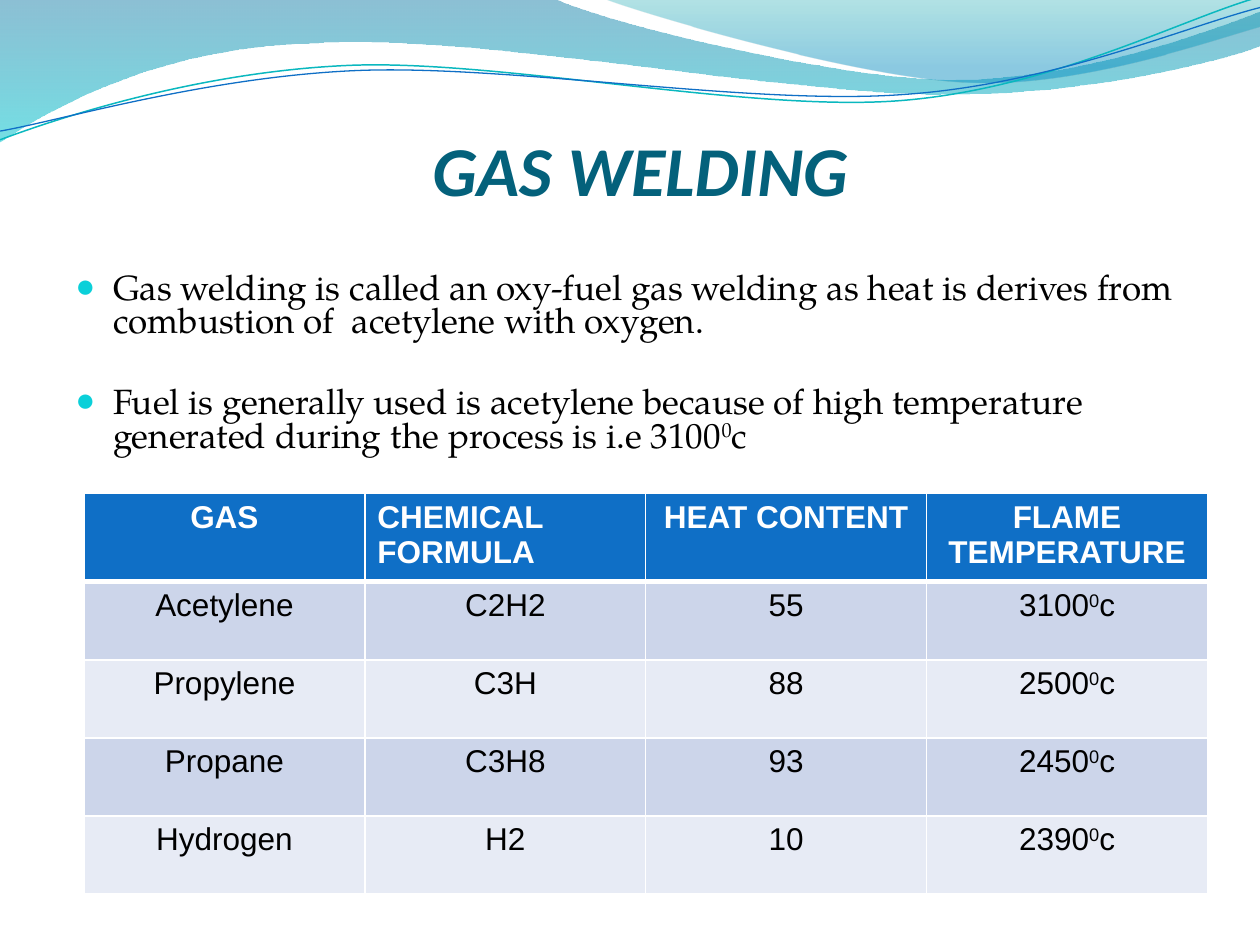
from lxml import etree
from pptx import Presentation
from pptx.dml.color import RGBColor
from pptx.enum.text import MSO_ANCHOR, PP_ALIGN
from pptx.oxml.ns import qn
from pptx.util import Pt

LEFT, CENTER = PP_ALIGN.LEFT, PP_ALIGN.CENTER
TOP, BOTTOM = MSO_ANCHOR.TOP, MSO_ANCHOR.BOTTOM

TITLE = "GAS WELDING"
BULLETS = [
    "Gas welding is called an oxy-fuel gas welding as heat is derives from combustion of  acetylene with oxygen.",
    "Fuel is generally used is acetylene because of high temperature generated during the process is i.e 3100^0^c",
]
ROWS = [
    ["GAS", "CHEMICAL FORMULA", "HEAT CONTENT", "FLAME TEMPERATURE"],
    ["Acetylene", "C2H2", "55", "3100^0^c"],
    ["Propylene", "C3H", "88", "2500^0^c"],
    ["Propane", "C3H8", "93", "2450^0^c"],
    ["Hydrogen", "H2", "10", "2390^0^c"],
]
TITLE_FONT = {"name": "Calibri", "size": Pt(40), "bold": True, "italic": True}
BODY_FONT = {"name": "TeX Gyre Pagella", "size": Pt(20)}
HEAD_FONT = {"name": "Arial", "size": Pt(18), "bold": True}
CELL_FONT = {"name": "Arial", "size": Pt(18), "bold": False}
HEAD_FILL, BAND_FILLS = "0F6FC6", ["CCD5EA", "E7EBF5"]
TABLE_LEFT, TABLE_TOP, TABLE_HEIGHT = 48, 282, 228.2
COLUMN_WIDTH, ROW_HEIGHT = 160.5, 44.6

WAVES = [
    {"stops": [(0, "0074A1", 45), (1, "00C6CF", 55)],
     "points": [(0, 0), (316.8, -0.7), (342.7, 12.2, 478.1, 45.4, 545.8, 45.4),
                (614.2, 45.4, 689.8, 18.7, 720, 6.5), (720.7, 25.9),
                (707.8, 31.7, 626.4, 54.7, 537.1, 54),
                (447.8, 54, 275, 20.2, 185, 24.5),
                (92.9, 25.9, 33.1, 59.8, -0.7, 81.4)]},
    {"stops": [(0, "00A1A9", 30), (0.8, "008BBF", 45)],
     "points": [(344.9, -0.7), (366.5, 7.9, 491, 44.6, 553.7, 46.8),
                (616.3, 49.7, 691.9, 23, 720, 15.1), (720, 0)]},
    {"line": ("0AB8BF", 0.85),
     "points": [(0, 79.9), (34.6, 67, 113.8, 41, 199.4, 37.4),
                (284.4, 33.8, 427, 64.1, 513.4, 57.6),
                (599.8, 51.1, 675.4, 10.8, 718.6, -1.4)]},
    {"line": ("0F6FC6", 0.75),
     "points": [(0, 74.9), (33.8, 69.1, 118.1, 43.9, 203.8, 40.3),
                (290.2, 36.7, 429.8, 60.5, 516.2, 54),
                (601.9, 48.2, 677.5, 15.1, 720, 4.3)]},
]


def color(value):
    return RGBColor.from_string(value)


def bend(wave, points):
    segments = list(wave._element.spPr.iter(qn("a:lnTo")))
    for segment, point in zip(segments, points[1:]):
        if len(point) == 2:
            continue
        segment.tag = qn("a:cubicBezTo")
        for index in (0, 1):
            x, y = point[2 * index:2 * index + 2]
            handle = etree.Element(qn("a:pt"), x=str(Pt(x) - wave.left), y=str(Pt(y) - wave.top))
            segment.insert(index, handle)


def add_wave(page, points, stops=None, line=None):
    anchors = [(Pt(point[-2]), Pt(point[-1])) for point in points]
    builder = page.shapes.build_freeform(*anchors[0], scale=1.0)
    builder.add_line_segments(anchors[1:], close=bool(stops))
    wave = builder.convert_to_shape()
    bend(wave, points)
    wave.shadow.inherit = False
    if line:
        wave.fill.background()
        wave.line.color.rgb = color(line[0])
        wave.line.width = Pt(line[1])
        return
    wave.line.fill.background()
    wave.fill.gradient()
    wave.fill.gradient_angle = 270
    for stop, (position, tint, opacity) in zip(wave.fill.gradient_stops, stops):
        stop.position = position
        stop.color.rgb = color(tint)
    for tint, stop in zip(wave._element.spPr.iter(qn("a:srgbClr")), stops):
        etree.SubElement(tint, qn("a:alpha"), val=str(stop[2] * 1000))


def write(para, text, font, tint, align=LEFT):
    para.alignment = align
    for index, part in enumerate(text.split("^")):
        span = para.add_run()
        span.text = part
        for name, value in font.items():
            setattr(span.font, name, value)
        span.font.color.rgb = color(tint)
        if index % 2:
            span._r.get_or_add_rPr().set("baseline", "30000")


def add_box(page, place, insets, anchor):
    frame = page.shapes.add_textbox(*map(Pt, place)).text_frame
    frame.word_wrap = True
    frame.vertical_anchor = anchor
    for side, inset in zip(("left", "top", "right", "bottom"), insets):
        setattr(frame, f"margin_{side}", Pt(inset))
    return frame


def add_bullet(para):
    properties = para._p.get_or_add_pPr()
    properties.set("marL", str(Pt(21.6)))
    properties.set("indent", str(Pt(-21.6)))
    tint = etree.SubElement(properties, qn("a:buClr"))
    etree.SubElement(tint, qn("a:srgbClr"), val="0BD0D9")
    etree.SubElement(properties, qn("a:buSzPct"), val="95000")
    etree.SubElement(properties, qn("a:buFont"), typeface="Arial")
    etree.SubElement(properties, qn("a:buChar"), char="●")


def add_borders(cell, widths):
    properties = cell._tc.get_or_add_tcPr()
    for side, width in zip("LRTB", widths):
        edge = etree.SubElement(properties, qn(f"a:ln{side}"), w=str(Pt(width)))
        fill = etree.SubElement(edge, qn("a:solidFill"))
        etree.SubElement(fill, qn("a:srgbClr"), val="FFFFFF")


def add_gas_table(page):
    width = COLUMN_WIDTH * len(ROWS[0])
    holder = page.shapes.add_table(len(ROWS), len(ROWS[0]), Pt(TABLE_LEFT), Pt(TABLE_TOP),
                                   Pt(width), Pt(TABLE_HEIGHT))
    table = holder.table
    for column in table.columns:
        column.width = Pt(COLUMN_WIDTH)
    for r, texts in enumerate(ROWS):
        head = r == 0
        table.rows[r].height = Pt(ROW_HEIGHT)
        for c, text in enumerate(texts):
            cell = table.cell(r, c)
            add_borders(cell, (1, 1, 3 if r == 1 else 1, 3 if head else 1))
            cell.fill.solid()
            cell.fill.fore_color.rgb = color(HEAD_FILL if head else BAND_FILLS[(r - 1) % 2])
            write(cell.text_frame.paragraphs[0], text, HEAD_FONT if head else CELL_FONT,
                  "FFFFFF" if head else "000000", LEFT if head and c == 1 else CENTER)
    holder.height = Pt(TABLE_HEIGHT)


def main():
    deck = Presentation()
    deck.slide_width, deck.slide_height = Pt(720), Pt(540)
    page = deck.slides.add_slide(deck.slide_layouts[6])
    for wave in WAVES:
        add_wave(page, **wave)
    title = add_box(page, (41.8, 30.2, 648, 90), (0, 3.6, 0, 0), BOTTOM)
    write(title.paragraphs[0], TITLE, TITLE_FONT, "04617B", CENTER)
    body = add_box(page, (36, 152.6, 648, 345.6), (7.2, 3.6, 7.2, 3.6), TOP)
    for index, text in enumerate(BULLETS):
        para = body.add_paragraph() if index else body.paragraphs[0]
        add_bullet(para)
        para.line_spacing = 0.8
        if index:
            para.space_before = Pt(27)
        write(para, text, BODY_FONT, "000000")
    add_gas_table(page)
    deck.save("out.pptx")


if __name__ == "__main__":
    main()
